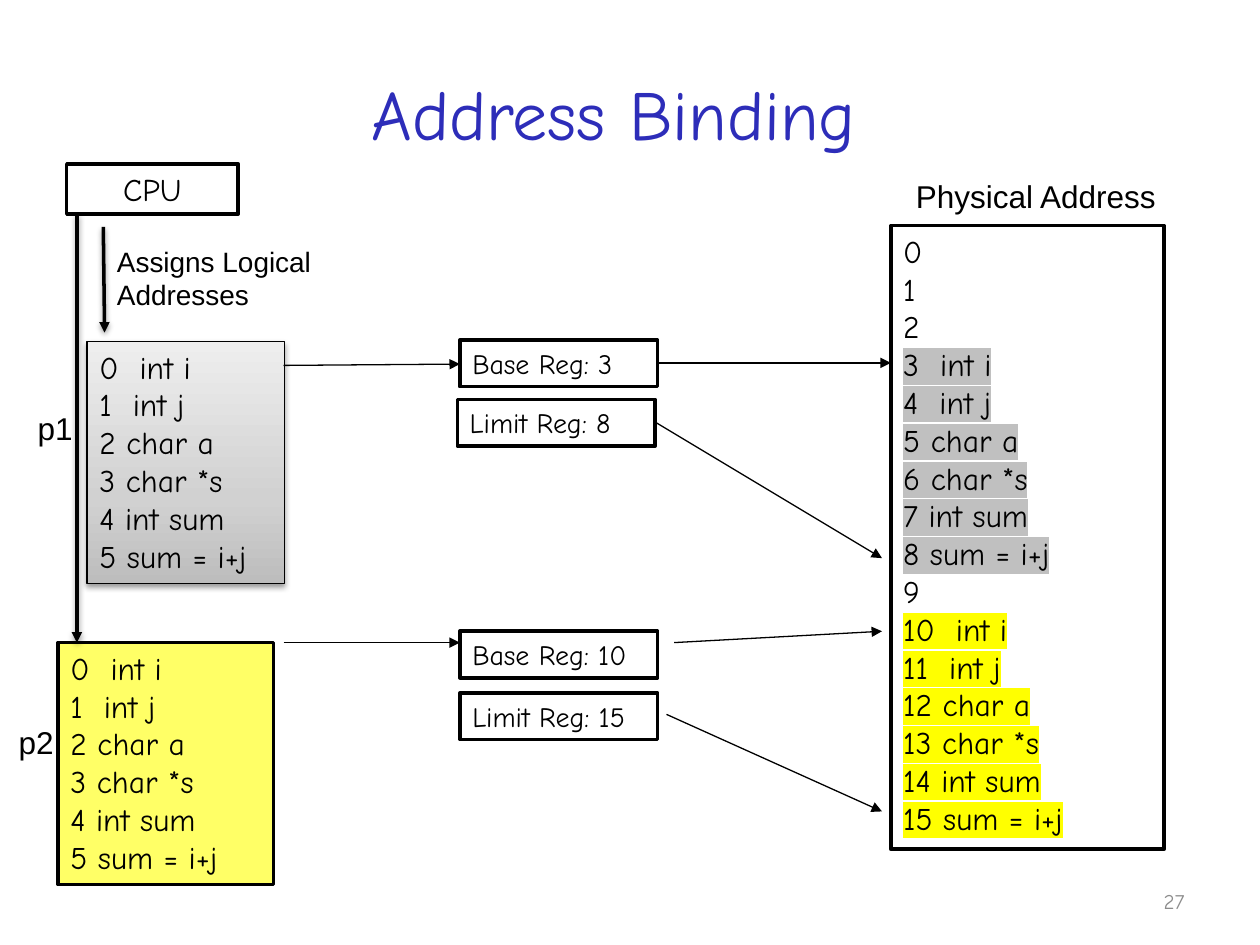
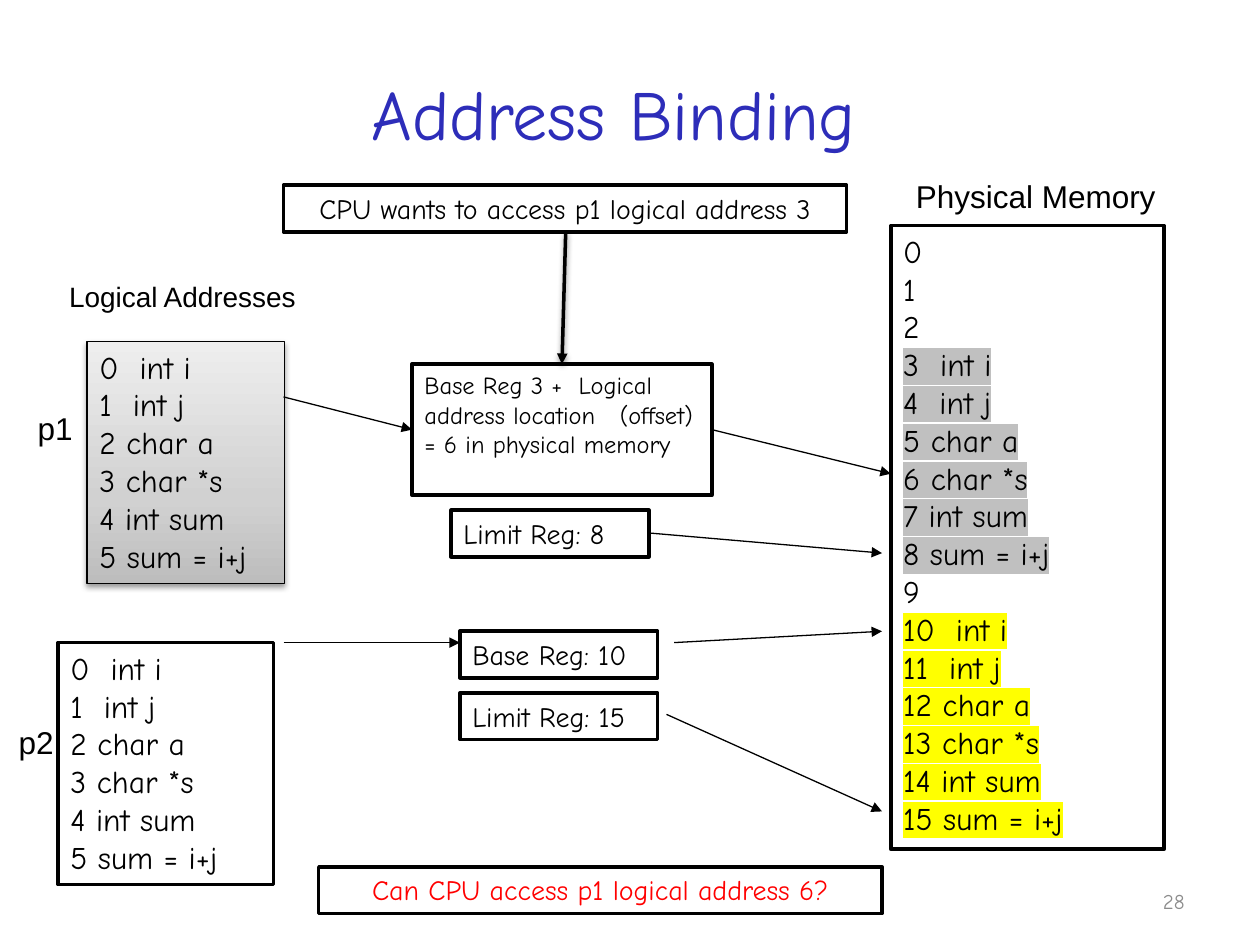
from copy import deepcopy

from lxml.etree import SubElement
from pptx import Presentation
from pptx.dml.color import RGBColor
from pptx.enum.shapes import MSO_CONNECTOR, MSO_SHAPE
from pptx.enum.text import MSO_ANCHOR, PP_ALIGN
from pptx.oxml.ns import qn
from pptx.util import Inches, Pt

BLACK, WHITE, RED = "000000", "FFFFFF", "FF0000"
TITLE_BLUE, FOOTER_GRAY = "2D2DB9", "8C8C8C"
P1_MARK, P2_MARK, P2_FILL = "C0C0C0", "FFFF00", "FFFF66"
P1_GRADIENT = [(0, "BDBDBD"), (0.35, "D1D1D1"), (1, "EEEEEE")]
HAND, PLAIN = "Comic Neue", "Arial"
THICK, THIN = 2, 0.75
REG_W, REG_H = 1.57, 0.37

PROGRAM = ["int i", "int j", "char a", "char *s", "int sum", "sum = i+j"]
P1_BOX = (0.69, 2.71, 1.57, 1.92)
P2_BOX = (0.46, 5.1, 1.71, 1.92)
MEMORY_BOX = (7.07, 1.79, 2.17, 4.95)


def color(value):
    return RGBColor.from_string(value)


def program_lines(start=0):
    return [f"{i}{'  ' if k < 2 else ' '}{code}"
            for k, (i, code) in enumerate(enumerate(PROGRAM, start))]


def set_effects(spPr, shadow):
    effects = spPr.find(qn("a:effectLst"))
    if effects is None:
        effects = SubElement(spPr, qn("a:effectLst"))
    if shadow:
        outer = SubElement(effects, qn("a:outerShdw"), blurRad="40000",
                           dist="20000", dir="5400000", rotWithShape="0")
        tone = SubElement(outer, qn("a:srgbClr"), val=BLACK)
        SubElement(tone, qn("a:alpha"), val="38000")


def highlight(r, mark):
    rPr = r.font._element
    mark_el = SubElement(rPr, qn("a:highlight"))
    SubElement(mark_el, qn("a:srgbClr"), val=mark)
    rPr.find(qn("a:solidFill")).addnext(mark_el)


def write(sp, lines, size, font=HAND, tone=BLACK, align=PP_ALIGN.LEFT,
          anchor=MSO_ANCHOR.TOP, wrap=True, marks=None):
    tf = sp.text_frame
    frame_format = {"word_wrap": wrap, "vertical_anchor": anchor}
    for name, value in frame_format.items():
        setattr(tf, name, value)
    for i, line in enumerate(lines):
        p = tf.paragraphs[0] if i == 0 else tf.add_paragraph()
        p.alignment = align
        r = p.add_run()
        r.text = line
        for name, value in {"size": Pt(size), "name": font}.items():
            setattr(r.font, name, value)
        r.font.color.rgb = color(tone)
        if marks and marks[i]:
            highlight(r, marks[i])


def add_label(s, box, lines, size, **text_format):
    sp = s.shapes.add_textbox(*map(Inches, box))
    write(sp, lines, size, **text_format)


def add_box(s, box, lines, size=16, fill=WHITE, line_width=THICK, **text_format):
    sp = s.shapes.add_shape(MSO_SHAPE.RECTANGLE, *map(Inches, box))
    sp.shadow.inherit = False
    sp.fill.solid()
    sp.fill.fore_color.rgb = color(fill)
    sp.line.color.rgb = color(BLACK)
    sp.line.width = Pt(line_width)
    write(sp, lines, size, **text_format)
    return sp


def add_arrow(s, x1, y1, x2, y2, thick=False):
    c = s.shapes.add_connector(MSO_CONNECTOR.STRAIGHT,
                               *map(Inches, (x1, y1, x2, y2)))
    c.line.color.rgb = color(BLACK)
    c.line.width = Pt(THICK if thick else THIN)
    SubElement(c.line._get_or_add_ln(), qn("a:tailEnd"), type="triangle")
    set_effects(c._element.spPr, shadow=thick)


def fill_gradient(sp, stops):
    sp.fill.gradient()
    sp.fill.gradient_angle = 90
    gs_list = sp._element.spPr.find(".//" + qn("a:gsLst"))
    gs_list.insert(1, deepcopy(gs_list[0]))
    for stop, (position, tone) in zip(sp.fill.gradient_stops, stops):
        stop.position = position
        stop.color.rgb = color(tone)


def add_frame(s, number):
    add_label(s, (0.53, 0.27, 8.5, 1.25), [" Address Binding"], 40,
              tone=TITLE_BLUE, align=PP_ALIGN.CENTER, anchor=MSO_ANCHOR.MIDDLE)
    add_label(s, (7.17, 6.95, 2.33, 0.4), [str(number)], 12,
              tone=FOOTER_GRAY, align=PP_ALIGN.RIGHT, anchor=MSO_ANCHOR.MIDDLE)


def add_process_name(s, box, name, dx, dy):
    x, y, _, _ = box
    add_label(s, (x + dx, y + dy, 0.48, 0.4), [name], 18, font=PLAIN, wrap=False)


def add_p1(s, box):
    sp = add_box(s, box, program_lines(), 18, line_width=THIN)
    fill_gradient(sp, P1_GRADIENT)
    set_effects(sp._element.spPr, shadow=True)
    add_process_name(s, box, "p1", -0.49, 0.49)


def add_p2(s, box, fill):
    x, y, w, _ = box
    add_box(s, box, program_lines(), 18, fill=fill)
    add_process_name(s, box, "p2", -0.41, 0.59)
    reg_x = x + w + 1.48
    add_arrow(s, x + w + 0.08, y, reg_x, y)
    add_register(s, reg_x, y - 0.09, "Base Reg: 10")
    add_register(s, reg_x, y + 0.4, "Limit Reg: 15")
    end_x = MEMORY_BOX[0] - 0.07
    add_arrow(s, reg_x + REG_W + 0.13, y, end_x, y - 0.09)
    add_arrow(s, reg_x + REG_W + 0.07, y + 0.57, end_x, y + 1.34)


def add_register(s, x, y, text):
    add_box(s, (x, y, REG_W, REG_H), [text])


def add_memory(s, box, heading):
    x, y, _, _ = box
    n = len(PROGRAM)
    lines = ["0", "1", "2", *program_lines(3), "9", *program_lines(10)]
    marks = [None] * 3 + [P1_MARK] * n + [None] + [P2_MARK] * n
    add_box(s, box, lines, 18, marks=marks)
    add_label(s, (x + 0.1, y - 0.43, 2.12, 0.4), [heading], 18,
              font=PLAIN, wrap=False)


def add_cpu(s, box):
    x, y, _, h = box
    add_box(s, box, ["CPU"], 18, align=PP_ALIGN.CENTER)
    add_arrow(s, x + 0.29, y + h + 0.1, x + 0.3, y + h + 0.94, thick=True)
    add_arrow(s, x + 0.08, y + h, x + 0.08, P2_BOX[1], thick=True)
    add_label(s, (x + 0.3, y + h + 0.19, 1.82, 0.64),
              ["Assigns Logical", "Addresses"], 16, font=PLAIN)


def build_binding(s):
    add_frame(s, 27)
    add_p1(s, P1_BOX)
    add_memory(s, MEMORY_BOX, "Physical Address")
    add_p2(s, P2_BOX, P2_FILL)
    add_cpu(s, (0.53, 1.3, 1.36, 0.4))
    add_register(s, 3.65, 2.7, "Base Reg: 3")
    add_register(s, 3.63, 3.17, "Limit Reg: 8")
    add_arrow(s, 2.25, 2.9, 3.65, 2.89)
    add_arrow(s, 5.22, 2.88, 7.07, 2.88)
    add_arrow(s, 5.2, 3.35, 7, 4.43)


def add_translation(s, box):
    x, y, w, h = box
    middle = y + h / 2
    add_box(s, box, ["Base Reg 3 +  Logical address location   (offset)"
                     " = 6 in physical memory"], 14)
    add_arrow(s, 2.25, middle - 0.26, x, middle)
    add_arrow(s, x + w, middle, MEMORY_BOX[0], middle + 0.35)
    add_arrow(s, x + w / 2 + 0.03, y - 1.05, x + w / 2, y, thick=True)
    add_register(s, x + 0.31, y + h + 0.12, "Limit Reg: 8")
    add_arrow(s, x + 1.88, y + h + 0.3, 7, y + h + 0.46)


def build_access(s):
    add_frame(s, 28)
    add_p1(s, P1_BOX)
    add_label(s, (0.45, 2.17, 2.46, 0.37), ["Logical Addresses"], 16, font=PLAIN)
    add_p2(s, P2_BOX, WHITE)
    add_translation(s, (3.27, 2.89, 2.38, 1.04))
    add_memory(s, MEMORY_BOX, "Physical Memory")
    for x, y, text, tone in [
        (2.25, 1.47, "CPU wants to access p1 logical address 3", BLACK),
        (2.53, 6.88, "Can CPU access p1 logical address 6?", RED),
    ]:
        add_box(s, (x, y, 4.47, REG_H), [text], tone=tone, align=PP_ALIGN.CENTER)


def main():
    prs = Presentation()
    prs.slide_width, prs.slide_height = Inches(10), Inches(7.5)
    for build in (build_binding, build_access):
        build(prs.slides.add_slide(prs.slide_layouts[6]))
    prs.save("out.pptx")


if __name__ == "__main__":
    main()
